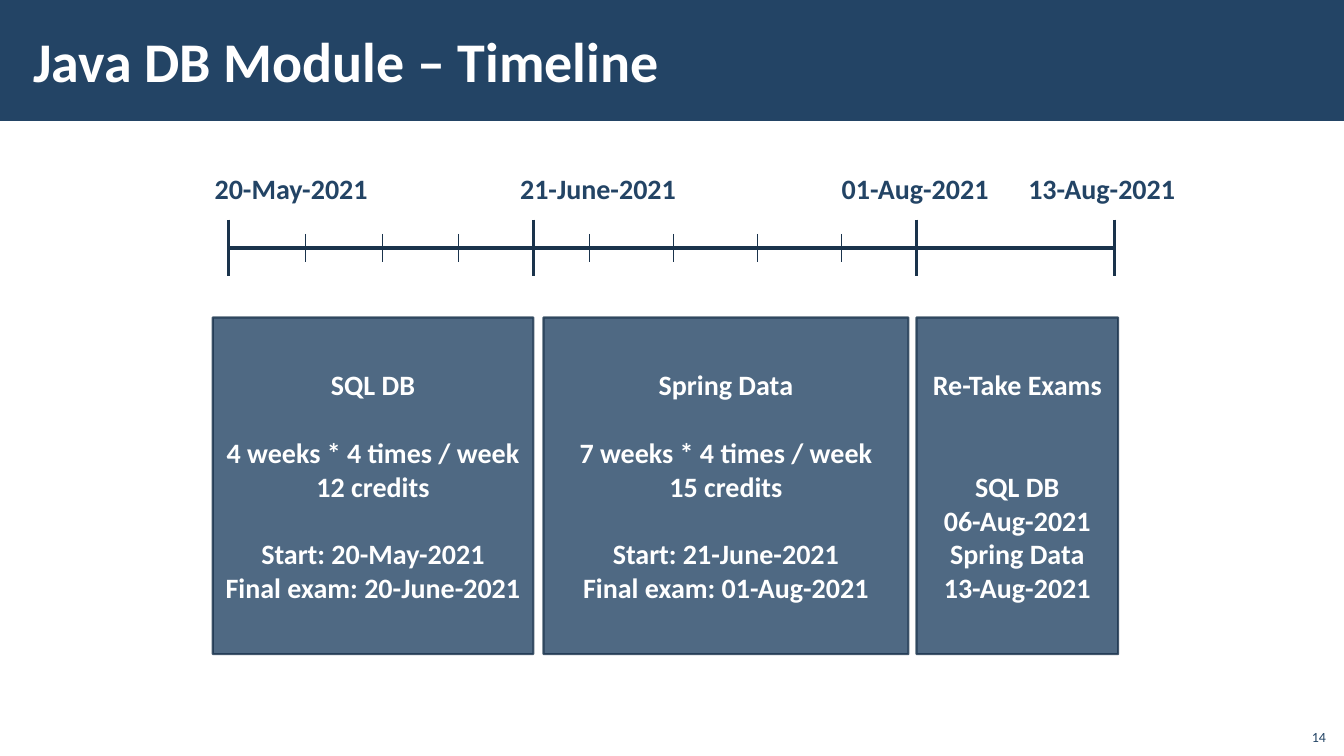
"""Build the Java DB module timeline slide."""
import lxml.etree
import pptx
import pptx.dml.color
import pptx.enum.shapes
import pptx.enum.text
import pptx.oxml.ns
import pptx.util

Inches = pptx.util.Inches
Pt = pptx.util.Pt
ALIGN = pptx.enum.text.PP_ALIGN
ANCHOR = pptx.enum.text.MSO_ANCHOR
RECTANGLE = pptx.enum.shapes.MSO_SHAPE.RECTANGLE

NAVY = pptx.dml.color.RGBColor(0x23, 0x44, 0x65)
DARK_NAVY = pptx.dml.color.RGBColor(0x1A, 0x33, 0x4C)
WHITE = pptx.dml.color.RGBColor(0xFF, 0xFF, 0xFF)

HEADING = {"name": "Calibri", "size": Pt(40), "bold": True}
STRONG = {"name": "Calibri", "size": Pt(20), "bold": True}
SMALL = {"name": "Calibri", "size": Pt(10), "bold": False}
TITLE_FRAME = {
    "margin_left": Inches(0.12), "margin_right": Inches(0.12),
    "margin_top": Inches(0.04), "margin_bottom": Inches(0.04),
    "vertical_anchor": ANCHOR.MIDDLE, "word_wrap": True,
    "auto_size": pptx.enum.text.MSO_AUTO_SIZE.NONE,
}

AXIS_Y = 2.46
MILESTONES = [
    (2.27, 2.03, "20-May-2021"),
    (5.29, 5.06, "21-June-2021"),
    (9.09, 8.25, "01-Aug-2021"),
    (11.05, 10.1, "13-Aug-2021"),
]
WEEK_RUNS = [(3.03, 0.76, 3), (5.85, 0.83, 4)]
LINE_GAP = 24.4
COURSES = [
    (2.11, 3.18, [
        ("SQL DB", 0), ("4 weeks * 4 times / week", 1), ("12 credits", 0),
        ("Start: 20-May-2021", 1), ("Final exam: 20-June-2021", 0)]),
    (5.39, 3.62, [
        ("Spring Data", 0), ("7 weeks * 4 times / week", 1), ("15 credits", 0),
        ("Start: 21-June-2021", 1), ("Final exam: 01-Aug-2021", 0)]),
    (9.09, 2, [
        ("Re-Take Exams", 0), ("SQL DB", 2), ("06-Aug-2021", 0),
        ("Spring Data", 0), ("13-Aug-2021", 0)]),
]


def apply_format(target, values):
    for attribute, value in values.items():
        setattr(target, attribute, value)


def write(paragraph, text, font, color, align):
    paragraph.alignment = align
    run = paragraph.add_run()
    run.text = text
    apply_format(run.font, font)
    run.font.color.rgb = color


def set_alpha(shape, percent):
    for color in shape._element.spPr.iter(pptx.oxml.ns.qn("a:srgbClr")):
        alpha = lxml.etree.SubElement(color, pptx.oxml.ns.qn("a:alpha"))
        alpha.set("val", str(percent * 1000))


def add_block(slide, left, top, width, height):
    block = slide.shapes.add_shape(
        RECTANGLE, Inches(left), Inches(top), Inches(width), Inches(height))
    block.shadow.inherit = False
    block.fill.solid()
    block.fill.fore_color.rgb = NAVY
    return block


def add_heading(slide, text):
    band = add_block(slide, 0, 0, 13.33, 1.2)
    band.line.fill.background()
    slide.shapes._spTree.insert(2, band._element)
    title = slide.shapes.title
    apply_format(title, {"left": Inches(0.21), "top": Inches(0.11),
                         "width": Inches(10.63), "height": Inches(0.97)})
    apply_format(title.text_frame, TITLE_FRAME)
    write(title.text_frame.paragraphs[0], text, HEADING, WHITE, ALIGN.LEFT)


def add_rule(slide, x1, y1, x2, y2, weight):
    rule = slide.shapes.add_connector(
        pptx.enum.shapes.MSO_CONNECTOR.STRAIGHT,
        Inches(x1), Inches(y1), Inches(x2), Inches(y2))
    rule.line.color.rgb = DARK_NAVY
    rule.line.width = Pt(weight)
    lxml.etree.SubElement(
        rule._element.spPr, pptx.oxml.ns.qn("a:effectLst"))


def add_tick(slide, x, half_height, weight):
    add_rule(slide, x, AXIS_Y - half_height, x, AXIS_Y + half_height, weight)


def add_label(slide, left, top, width, height, text, font, align, frame):
    label = slide.shapes.add_textbox(
        Inches(left), Inches(top), Inches(width), Inches(height))
    apply_format(label.text_frame, frame)
    write(label.text_frame.paragraphs[0], text, font, NAVY, align)


def add_course(slide, left, width, lines):
    course = add_block(slide, left, 3.15, width, 3.34)
    course.line.color.rgb = DARK_NAVY
    course.line.width = Pt(1.5)
    set_alpha(course, 80)
    frame = course.text_frame
    apply_format(frame, {"word_wrap": True, "vertical_anchor": ANCHOR.MIDDLE})
    for index, (text, gap_lines) in enumerate(lines):
        paragraph = frame.add_paragraph() if index else frame.paragraphs[0]
        paragraph.space_before = Pt(gap_lines * LINE_GAP)
        write(paragraph, text, STRONG, WHITE, ALIGN.CENTER)


def add_timeline(slide):
    add_rule(slide, MILESTONES[0][0], AXIS_Y, MILESTONES[-1][0], AXIS_Y, 2.25)
    for x, label_left, date in MILESTONES:
        add_tick(slide, x, 0.28, 2.25)
        add_label(slide, label_left, 1.65, 1.85, 0.44, date, STRONG,
                  ALIGN.LEFT, {"word_wrap": False})
    for start, step, count in WEEK_RUNS:
        for week in range(count):
            add_tick(slide, start + week * step, 0.14, 0.5)


def main():
    presentation = pptx.Presentation()
    apply_format(presentation, {"slide_width": Inches(13.33),
                                "slide_height": Inches(7.5)})
    slide = presentation.slides.add_slide(presentation.slide_layouts[5])
    add_heading(slide, "Java DB Module – Timeline")
    add_timeline(slide)
    for left, width, lines in COURSES:
        add_course(slide, left, width, lines)
    add_label(slide, 12.85, 7.12, 0.4, 0.32, "14", SMALL, ALIGN.RIGHT,
              {"word_wrap": True, "vertical_anchor": ANCHOR.BOTTOM})
    presentation.save("out.pptx")


if __name__ == "__main__":
    main()
